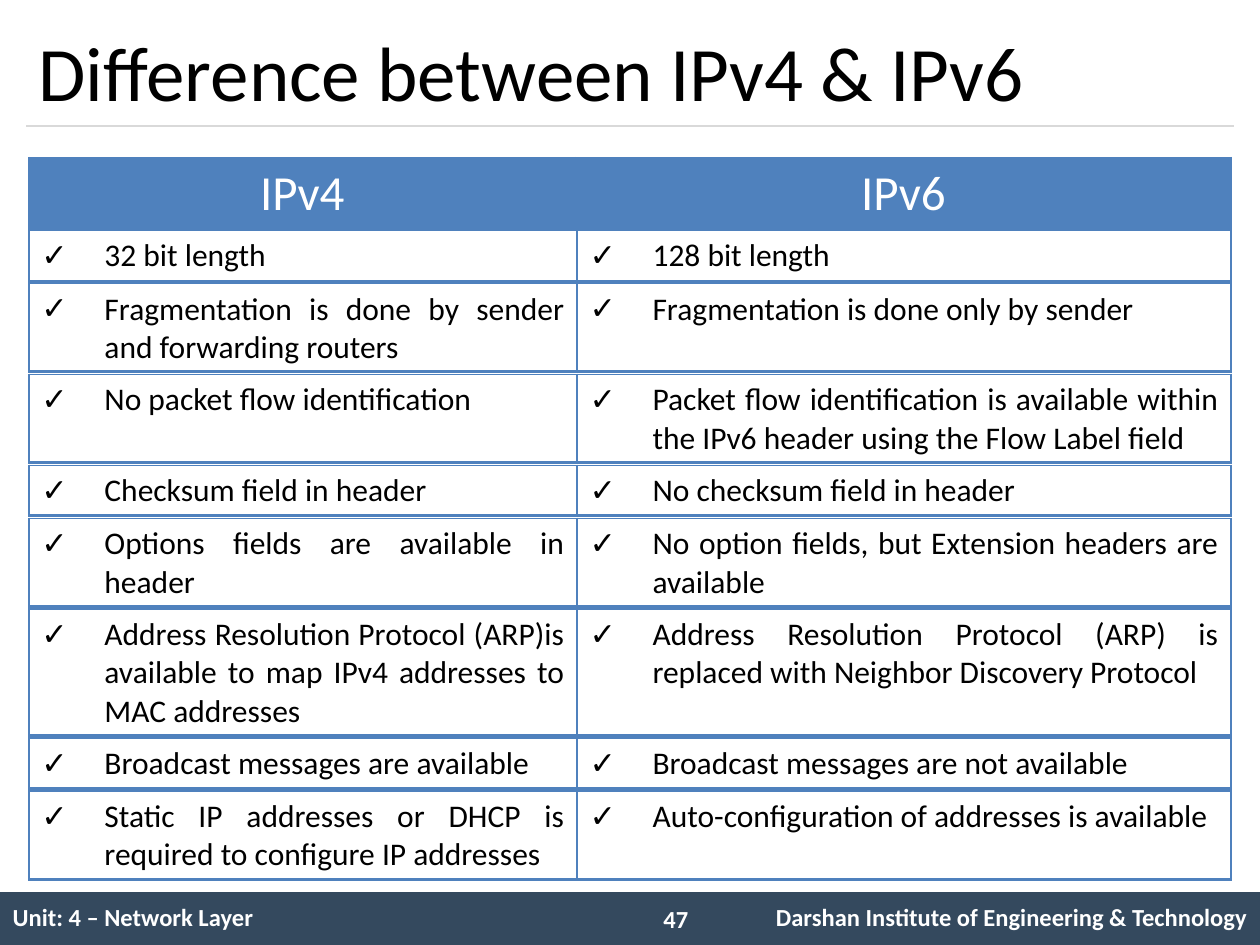
from lxml import etree
from pptx import Presentation
from pptx.dml.color import RGBColor
from pptx.enum import shapes, text
from pptx.oxml.ns import qn
from pptx.util import Pt

COLORS = {"accent": "4F81BD", "footer": "34495E", "rule": "D9D9D9",
          "black": "000000", "white": "FFFFFF"}
FONT = "Calibri"
NO_GRID_STYLE = "{2D5ABB26-0587-4C30-8999-92F81FD0307C}"
FORMATS = {
    "title": {"size": Pt(44), "color": "black"},
    "header": {"size": Pt(28), "color": "white"},
    "body": {"size": Pt(18), "color": "black"},
    "footer": {"size": Pt(14), "bold": True, "color": "white"},
}
LEFT, CENTER, RIGHT, JUSTIFY = (
    text.PP_ALIGN.LEFT, text.PP_ALIGN.CENTER, text.PP_ALIGN.RIGHT, text.PP_ALIGN.JUSTIFY)
INDENT = 36
LINE_HEIGHT, CELL_PADDING, ROW_GAP = 21.6, 7.2, 1.5

# Text lines in the row, IPv4 cell, IPv6 cell
ROWS = [
    (1, "32 bit length", "128 bit length"),
    (2, "Fragmentation is done by sender and forwarding routers",
     "Fragmentation is done only by sender"),
    (2, "No packet flow identification",
     "Packet flow identification is available within the IPv6 header "
     "using the Flow Label field"),
    (1, "Checksum field in header", "No checksum field in header"),
    (2, "Options fields are available in header",
     "No option fields, but Extension headers are available"),
    (3, "Address Resolution Protocol (ARP)is available to map IPv4 addresses "
     "to MAC addresses",
     "Address Resolution Protocol (ARP) is replaced with Neighbor Discovery Protocol"),
    (1, "Broadcast messages are available", "Broadcast messages are not available"),
    (2, "Static IP addresses or DHCP is required to configure IP addresses",
     "Auto-configuration of addresses is available"),
]


def rgb(name):
    return RGBColor.from_string(COLORS[name])


def write(tf, words, style, align=LEFT, bullet=None):
    p = tf.paragraphs[0]
    p.alignment = align
    if bullet:
        pPr = p._p.get_or_add_pPr()
        pPr.set("marL", str(Pt(INDENT)))
        pPr.set("indent", str(-Pt(INDENT)))
        etree.SubElement(pPr, qn("a:buFont"), typeface="Wingdings 2" if bullet != "✓" else FONT)
        etree.SubElement(pPr, qn("a:buChar"), char=bullet)
    r = p.add_run()
    r.text = words
    r.font.name = FONT
    for key, value in FORMATS[style].items():
        if key == "color":
            r.font.color.rgb = rgb(value)
        else:
            setattr(r.font, key, value)


def add_text(s, box, words, style, anchor):
    tf = s.shapes.add_textbox(*map(Pt, box)).text_frame
    tf.word_wrap = True
    tf.vertical_anchor = anchor
    write(tf, words, style)


def set_borders(cell, widths):
    tcPr = cell._tc.get_or_add_tcPr()
    # Borders come before the fill in the cell properties
    for i, (side, width) in enumerate(widths.items()):
        ln = etree.Element(qn(f"a:ln{side}"), w=str(Pt(width)))
        fill = etree.SubElement(ln, qn("a:solidFill"))
        etree.SubElement(fill, qn("a:srgbClr"), val=COLORS["accent"])
        tcPr.insert(i, ln)


def add_row_table(s, box, widths, words, style, aligns, fill=None, borders=None,
                  bullet=None, anchor=text.MSO_ANCHOR.TOP):
    table = s.shapes.add_table(1, len(widths), *map(Pt, box)).table
    table.first_row = table.horz_banding = False
    table._tbl.tblPr.find(qn("a:tableStyleId")).text = NO_GRID_STYLE
    for col, width in zip(table.columns, widths):
        col.width = Pt(width)
    for cell, label, align in zip(table.rows[0].cells, words, aligns):
        cell.vertical_anchor = anchor
        if fill:
            cell.fill.solid()
            cell.fill.fore_color.rgb = rgb(fill)
        else:
            cell.fill.background()
        if borders:
            set_borders(cell, borders)
        if label:
            write(cell.text_frame, label, style, align, bullet)


def add_title(s, box):
    x, y, w, h = box
    add_text(s, box, "Difference between IPv4 & IPv6", "title", text.MSO_ANCHOR.MIDDLE)
    rule = s.shapes.add_connector(
        shapes.MSO_CONNECTOR.STRAIGHT, Pt(x), Pt(y + h), Pt(x + w), Pt(y + h))
    rule.line.color.rgb = rgb("rule")
    rule.line.width = Pt(0.75)
    etree.SubElement(rule._element.spPr, qn("a:effectLst"))


def add_comparison(s, box):
    x, y, w, header_height = box
    # Column headings
    split = 312.5
    add_row_table(s, box, (split, w - split), ("IPv4", "IPv6"), "header",
                  (CENTER, CENTER), "accent", {"L": 1, "R": 1, "T": 1, "B": 1})
    # One bordered strip for each point of comparison
    split = 313.2
    y += header_height + 0.4
    for lines, ipv4, ipv6 in ROWS:
        height = CELL_PADDING + lines * LINE_HEIGHT
        add_row_table(s, (x, y, w, height), (split, w - split), (ipv4, ipv6), "body",
                      (JUSTIFY, JUSTIFY), None, {"L": 1, "R": 1, "T": 1, "B": 2}, "✓")
        y += height + ROW_GAP


def add_footer(s, box):
    x, y, w, h = box
    bar = s.shapes.add_shape(shapes.MSO_SHAPE.RECTANGLE, *map(Pt, box))
    bar.shadow.inherit = False
    bar.fill.solid()
    bar.fill.fore_color.rgb = rgb("footer")
    bar.line.fill.background()
    widths = (366, 48, w - 414)
    add_row_table(s, box, widths,
                  ("Unit: 4 – Network Layer", "",
                   "Darshan Institute of Engineering & Technology"),
                  "footer", (LEFT, LEFT, RIGHT), anchor=text.MSO_ANCHOR.MIDDLE)
    # Page number
    add_text(s, (x + 372, y + 3, 42, 24.5), "47", "footer", text.MSO_ANCHOR.TOP)


def main():
    prs = Presentation()
    prs.slide_width, prs.slide_height = Pt(720), Pt(540)
    s = prs.slides.add_slide(prs.slide_layouts[6])
    add_footer(s, (0, 509.8, 720, 30.2))
    add_title(s, (15, 8.6, 690, 63.4))
    add_comparison(s, (16.5, 90, 687, 41.4))
    prs.save("out.pptx")


if __name__ == "__main__":
    main()
